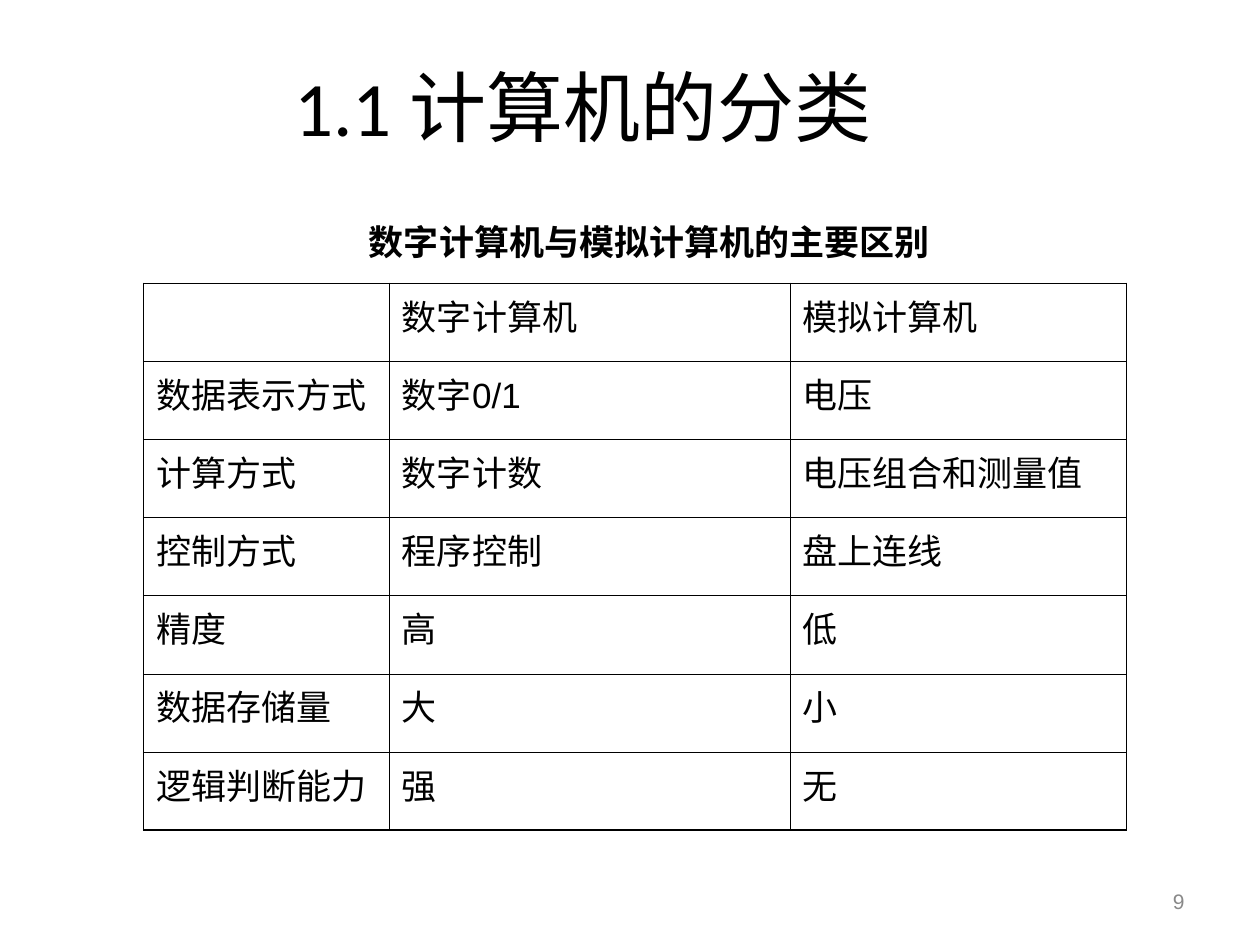
import pptx
import pptx.dml.color
import pptx.enum.text
import pptx.oxml
import pptx.oxml.ns
import pptx.util
from pptx.util import Inches

COLORS = {"ink": "000000", "paper": "FFFFFF", "gray": "898989"}
ALIGN = pptx.enum.text.PP_ALIGN
ANCHOR = pptx.enum.text.MSO_ANCHOR
THIN, THICK = 0.45, 1.08
WIDTHS = [1.95, 3.18, 2.67]
ROW_H = 0.62
ROWS = [
    ["", "数字计算机", "模拟计算机"],
    ["数据表示方式", "数字0/1", "电压"],
    ["计算方式", "数字计数", "电压组合和测量值"],
    ["控制方式", "程序控制", "盘上连线"],
    ["精度", "高", "低"],
    ["数据存储量", "大", "小"],
    ["逻辑判断能力", "强", "无"],
]


def rgb(name):
    return pptx.dml.color.RGBColor.from_string(COLORS[name])


def style(para, size, font="Arial", color="ink", bold=False):
    for run in para.runs:
        run.font.size = pptx.util.Pt(size)
        run.font.name = font
        run.font.bold = bold
        run.font.color.rgb = rgb(color)


def add_text(slide, box, text, size, align=ALIGN.LEFT, anchor=ANCHOR.MIDDLE,
             wrap=True, **look):
    frame = slide.shapes.add_textbox(*map(Inches, box)).text_frame
    frame.word_wrap = wrap
    frame.vertical_anchor = anchor
    frame.text = text
    para = frame.paragraphs[0]
    para.alignment = align
    style(para, size, **look)
    return frame


def set_edges(cell, edges):
    """Draw the cell's borders; edges maps L, R, T, B to widths in points."""
    props = cell._tc.get_or_add_tcPr()
    for index, side in enumerate("LRTB"):
        width = pptx.util.Pt(edges[side])
        line = pptx.oxml.parse_xml(
            f'<a:ln{side} {pptx.oxml.ns.nsdecls("a")} w="{width}"><a:solidFill>'
            f'<a:srgbClr val="{COLORS["ink"]}"/></a:solidFill></a:ln{side}>')
        props.insert(index, line)


def fill_cell(cell, text):
    cell.fill.solid()
    cell.fill.fore_color.rgb = rgb("paper")
    cell.text = text
    para = cell.text_frame.paragraphs[0]
    para.space_before = pptx.util.Pt(5)
    style(para, 20)


def add_grid(slide, left, top):
    """Add the comparison table with a thick frame and thin inner lines."""
    rows, cols = len(ROWS), len(WIDTHS)
    size = map(Inches, (left, top, sum(WIDTHS), rows * ROW_H))
    table = slide.shapes.add_table(rows, cols, *size).table
    table.first_row = table.horz_banding = False
    for col, width in zip(table.columns, WIDTHS):
        col.width = Inches(width)
    for r, texts in enumerate(ROWS):
        for c, text in enumerate(texts):
            cell = table.cell(r, c)
            fill_cell(cell, text)
            outer = {"L": c == 0, "R": c == cols - 1,
                     "T": r == 0, "B": r == rows - 1}
            set_edges(cell, {side: THICK if edge else THIN
                             for side, edge in outer.items()})


def main():
    deck = pptx.Presentation()
    deck.slide_width, deck.slide_height = Inches(10), Inches(7.5)
    slide = deck.slides.add_slide(deck.slide_layouts[6])
    add_text(slide, (0.5, 0.13, 8.25, 1.42), "1.1 计算机的分类", 44,
             ALIGN.CENTER, font="Calibri")
    add_grid(slide, 1.14, 2.25)
    add_text(slide, (7.17, 6.95, 2.33, 0.4), "9", 12, ALIGN.RIGHT, color="gray")
    title = add_text(slide, (2.83, 1.7, 4.65, 0.44),
                     "数字计算机与模拟计算机的主要区别", 20,
                     anchor=ANCHOR.TOP, wrap=False, bold=True)
    title.auto_size = pptx.enum.text.MSO_AUTO_SIZE.SHAPE_TO_FIT_TEXT
    deck.save("out.pptx")


if __name__ == "__main__":
    main()
